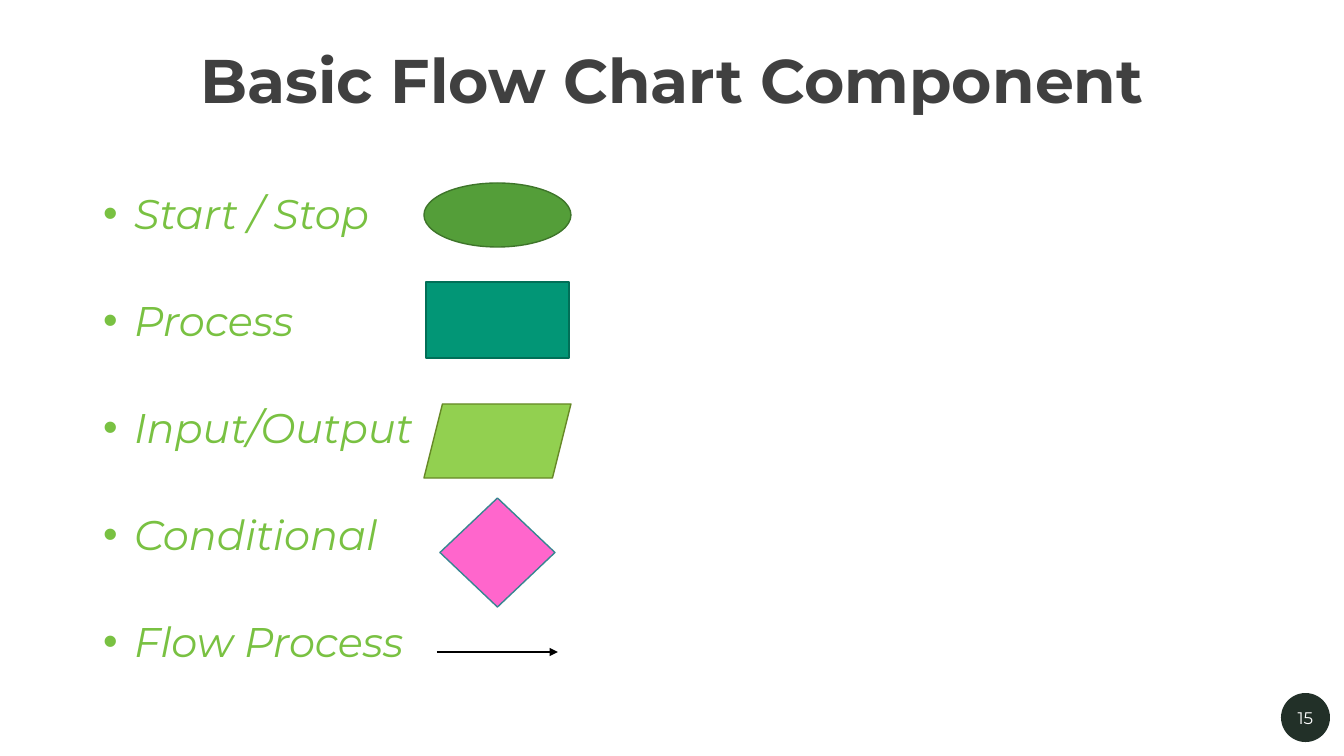
from lxml import etree
from pptx import Presentation
from pptx.dml.color import RGBColor
from pptx.enum.shapes import MSO_CONNECTOR, MSO_SHAPE
from pptx.enum.text import MSO_ANCHOR, MSO_AUTO_SIZE, PP_ALIGN
from pptx.oxml.ns import qn
from pptx.util import Emu, Pt

OVAL, RECTANGLE = MSO_SHAPE.OVAL, MSO_SHAPE.RECTANGLE
PARALLELOGRAM, DIAMOND = MSO_SHAPE.PARALLELOGRAM, MSO_SHAPE.DIAMOND
STRAIGHT = MSO_CONNECTOR.STRAIGHT
LEFT, CENTER = PP_ALIGN.LEFT, PP_ALIGN.CENTER
TOP, MIDDLE = MSO_ANCHOR.TOP, MSO_ANCHOR.MIDDLE
NO_AUTOFIT = MSO_AUTO_SIZE.NONE

EMU_PER_PX = 914400 / 100.8
FONT = "Montserrat"
TITLE_GREY = RGBColor(0x40, 0x40, 0x40)
LIST_GREEN = RGBColor(0x79, 0xC1, 0x42)
BADGE_DARK = RGBColor(0x22, 0x30, 0x28)
WHITE = RGBColor(0xFF, 0xFF, 0xFF)
BLACK = RGBColor(0x00, 0x00, 0x00)

COMPONENTS = ["Start / Stop", "Process", "Input/Output", "Conditional", "Flow Process"]

# Symbol: preset, left, top, width, height, fill, outline
SYMBOLS = [
    (OVAL, 424, 183, 147, 64, RGBColor(0x54, 0x9E, 0x39), RGBColor(0x3E, 0x75, 0x2A)),
    (RECTANGLE, 426, 282, 143, 76, RGBColor(0x02, 0x96, 0x76), RGBColor(0x01, 0x6F, 0x57)),
    (PARALLELOGRAM, 424, 404, 147, 74, RGBColor(0x92, 0xD0, 0x50), RGBColor(0x66, 0x88, 0x26)),
    (DIAMOND, 440, 498, 115, 109, RGBColor(0xFF, 0x66, 0xCC), RGBColor(0x37, 0x86, 0x91)),
]


def px(length):
    return Emu(round(length * EMU_PER_PX))


def place(holder, left, top, width, height):
    holder.left, holder.top = px(left), px(top)
    holder.width, holder.height = px(width), px(height)


def write(frame, lines, *, size, color, bold=False, italic=False, align=LEFT,
          anchor=TOP, spacing=1.0, after=0):
    """Fill a text frame with one paragraph per line, in one format."""
    frame.word_wrap = True
    frame.auto_size = NO_AUTOFIT
    frame.vertical_anchor = anchor
    frame.text = "\n".join(lines)
    for paragraph in frame.paragraphs:
        paragraph.alignment = align
        paragraph.line_spacing = spacing
        paragraph.space_before = Pt(0)
        paragraph.space_after = Pt(after)
        font = paragraph.runs[0].font
        font.name, font.size = FONT, Pt(size)
        font.bold, font.italic = bold, italic
        font.color.rgb = color


def add_bullets(frame, indent):
    for paragraph in frame.paragraphs:
        properties = paragraph._p.get_or_add_pPr()
        properties.set("marL", str(px(indent)))
        properties.set("indent", str(-px(indent)))
        etree.SubElement(properties, qn("a:buFont")).set("typeface", "Arial")
        etree.SubElement(properties, qn("a:buChar")).set("char", "•")


def add_symbol(slide, preset, left, top, width, height, fill, outline=None):
    symbol = slide.shapes.add_shape(preset, px(left), px(top), px(width), px(height))
    symbol.shadow.inherit = False
    symbol.fill.solid()
    symbol.fill.fore_color.rgb = fill
    if outline is None:
        symbol.line.fill.background()
    else:
        symbol.line.color.rgb = outline
        symbol.line.width = Pt(1)
    return symbol


def add_arrow(slide, start_x, end_x, y):
    arrow = slide.shapes.add_connector(STRAIGHT, px(start_x), px(y), px(end_x), px(y))
    arrow.line.color.rgb = BLACK
    arrow.line.width = Pt(1.5)
    etree.SubElement(arrow.line._get_or_add_ln(), qn("a:tailEnd")).set("type", "triangle")
    etree.SubElement(arrow._element.spPr, qn("a:effectLst"))


def add_page_badge(slide, number):
    badge = add_symbol(slide, OVAL, 1281, 693, 49, 49, BADGE_DARK)
    frame = badge.text_frame
    frame.margin_left = frame.margin_right = frame.margin_top = frame.margin_bottom = 0
    write(frame, [number], size=12, color=WHITE, align=CENTER, anchor=MIDDLE)


def main():
    deck = Presentation()
    deck.slide_width, deck.slide_height = px(1344), px(756)
    slide = deck.slides.add_slide(deck.slide_layouts[1])
    title, component_list = slide.placeholders

    # Title
    place(title, 93, 38, 1159, 92)
    write(title.text_frame, ["Basic Flow Chart Component"], size=44, color=TITLE_GREY,
          bold=True, align=CENTER, anchor=MIDDLE, spacing=0.9)

    # Component names
    place(component_list, 93, 193, 1159, 484)
    write(component_list.text_frame, COMPONENTS, size=29.6, color=LIST_GREEN,
          italic=True, spacing=0.8, after=48)
    add_bullets(component_list.text_frame, 31)

    # Flow chart symbols
    for symbol in SYMBOLS:
        add_symbol(slide, *symbol)
    add_arrow(slide, 437, 558, 652)

    # Page number
    add_page_badge(slide, "15")

    deck.save("out.pptx")


main()
